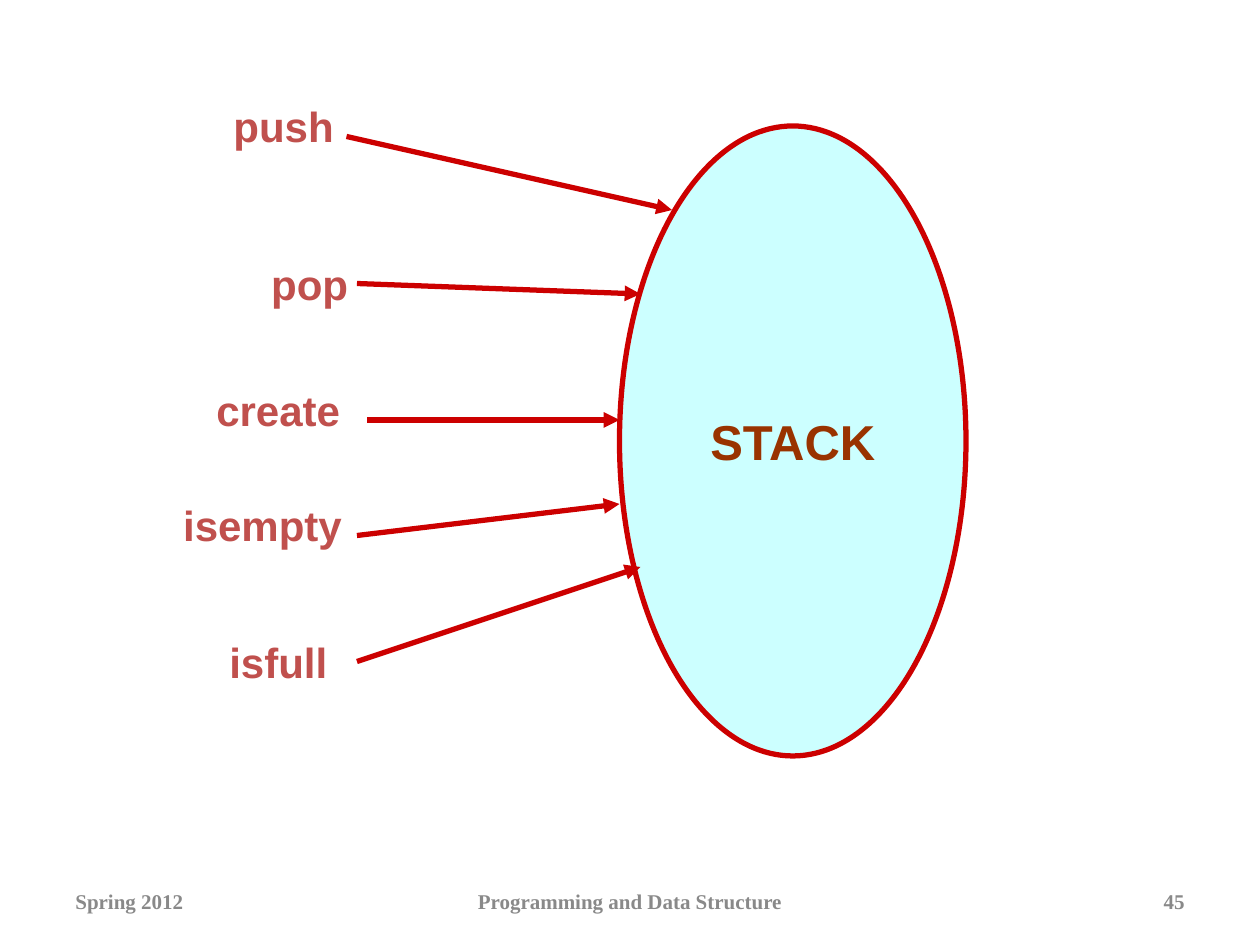
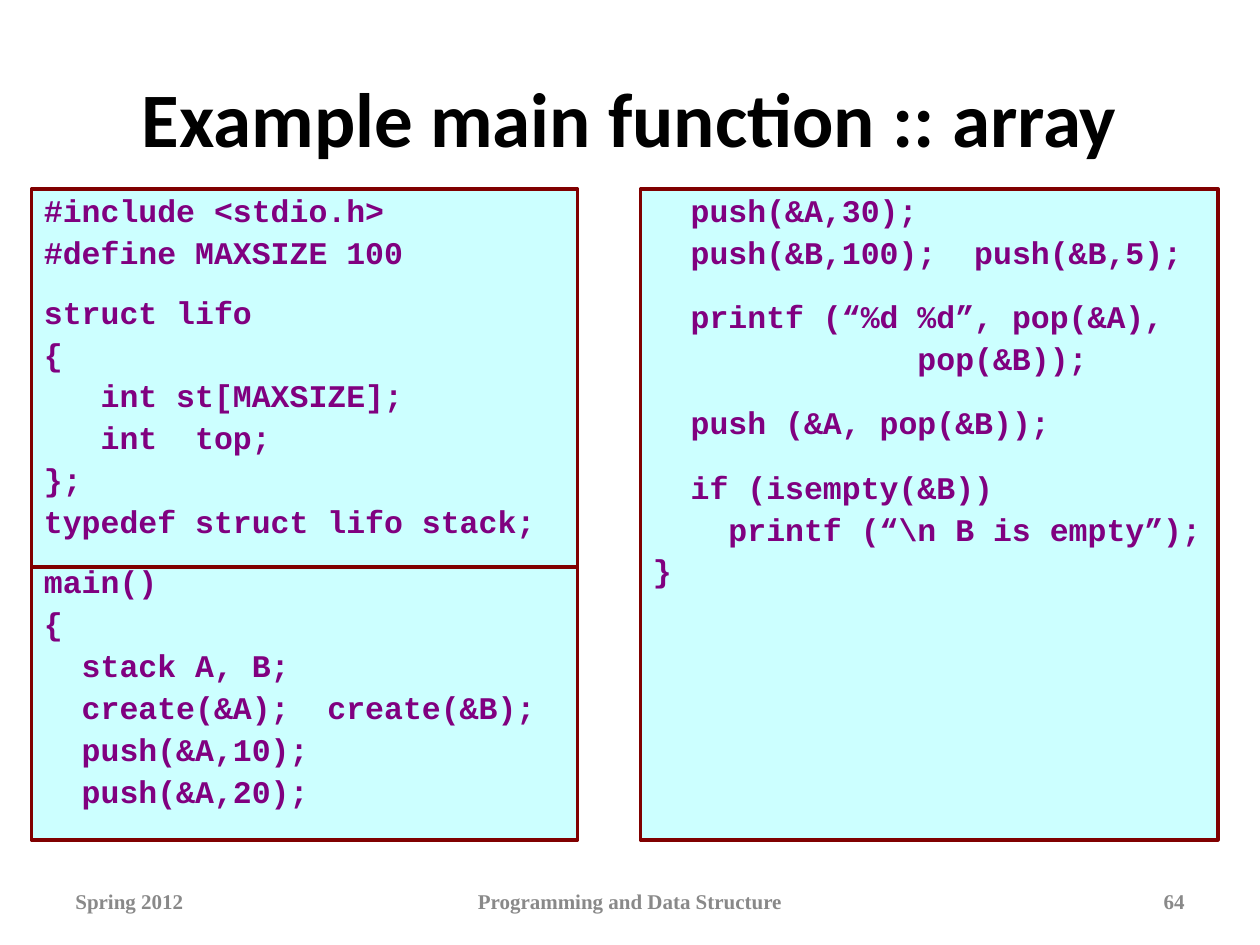
from pptx import Presentation
from pptx.dml.color import RGBColor
from pptx.enum.shapes import MSO_CONNECTOR as Link, MSO_SHAPE as Form
from pptx.enum.text import MSO_ANCHOR as Anchor, PP_ALIGN as Align
from pptx.oxml.ns import qn
from pptx.util import Inches, Pt
from lxml.etree import SubElement

UNIT = Inches(1) / 12  # the grid has 120 columns and 90 rows
CHAR = 0.6  # width of a Courier New letter, in parts of its size

HEAD = r"""
#include <stdio.h>
#define MAXSIZE 100

struct lifo
{
   int st[MAXSIZE];
   int  top;
};
typedef struct lifo stack;

main()
{
  stack A, B;
  create(&A);  create(&B);
  push(&A,10);
  push(&A,20);
"""

TAIL = r"""
  push(&A,30);
  push(&B,100);  push(&B,5);

  printf (“%d %d”, pop(&A),
              pop(&B));

  push (&A, pop(&B));

  if (isempty(&B))
    printf (“\n B is empty”);
}
"""

# name, label left, top and width, arrow start and end
CALLS = [
    ("push", (19, 9, 16), (33, 13), (64, 20)),
    ("pop", (20, 24, 19), (34, 27), (61, 28)),
    ("create", (18, 36, 17), (35, 40), (59, 40)),
    ("isempty", (15, 47, 20), (34, 51), (59, 48)),
    ("isfull", (19, 60, 15), (34, 63), (61, 54)),
]


def grid(*cells):
    return [round(cell * UNIT) for cell in cells]


def hue(code):
    return RGBColor.from_string(code)


def write(para, text, size=18, font="Arial", color="000000", align=Align.LEFT):
    para.alignment = align
    run = para.add_run()
    run.text = text
    run.font.size, run.font.name, run.font.bold = Pt(size), font, True
    run.font.color.rgb = hue(color)


class Deck:
    fill, red, maroon = "CCFFFF", "CC0000", "800000"
    brown, rose, purple, grey = "993300", "C0504D", "800080", "898989"

    def __init__(self):
        self.prs = Presentation()
        self.prs.slide_width, self.prs.slide_height = grid(120, 90)

    def page(self, number):
        """Start a blank slide with the shared footer."""
        self.slide = self.prs.slides.add_slide(self.prs.slide_layouts[6])
        self.shapes = self.slide.shapes
        for left, width, text, align in (
            (6, 28, "Spring 2012", Align.LEFT),
            (41, 38, "Programming and Data Structure", Align.CENTER),
            (86, 28, str(number), Align.RIGHT),
        ):
            self.text(text, (left, 83.4, width, 4.8), anchor=Anchor.MIDDLE, size=12,
                      font="Times New Roman", color=self.grey, align=align)

    def text(self, text, area, anchor=Anchor.TOP, **style):
        frame = self.shapes.add_textbox(*grid(*area)).text_frame
        frame.word_wrap, frame.vertical_anchor = True, anchor
        write(frame.paragraphs[0], text, **style)

    def title(self, text):
        self.text(text, (6, 3.6, 108, 15), anchor=Anchor.MIDDLE, size=44,
                  font="Calibri", align=Align.CENTER)

    def shape(self, form, area, line, weight):
        """Add a filled outline and return its text frame."""
        shape = self.shapes.add_shape(form, *grid(*area))
        shape.shadow.inherit = False
        shape.fill.solid()
        shape.fill.fore_color.rgb = hue(self.fill)
        shape.line.color.rgb, shape.line.width = hue(line), Pt(weight)
        return shape.text_frame

    def oval(self, text, area):
        frame = self.shape(Form.OVAL, area, self.red, 3)
        frame.word_wrap, frame.vertical_anchor = False, Anchor.MIDDLE
        write(frame.paragraphs[0], text, size=28, color=self.brown, align=Align.CENTER)

    def code(self, source, area, gap, size=18):
        """Add a code panel; an empty source line widens the next space by gap."""
        frame = self.shape(Form.RECTANGLE, area, self.maroon, 2)
        frame.word_wrap, frame.vertical_anchor = True, Anchor.TOP
        para, extra = frame.paragraphs[0], 0
        for index, line in enumerate(source.strip("\n").split("\n")):
            if not line:
                extra = gap
                continue
            if index:
                para = frame.add_paragraph()
            para.line_spacing, para.space_before = 0.9, Pt(4.5 + extra)
            extra, bare = 0, line.lstrip()
            indent = Pt((len(line) - len(bare)) * CHAR * size)
            para._p.get_or_add_pPr().set("marL", str(indent))
            write(para, bare, size=size, font="Courier New", color=self.purple)

    def line(self, start, end, color, weight, arrow=False):
        link = self.shapes.add_connector(Link.STRAIGHT, *grid(*start, *end))
        link.line.color.rgb, link.line.width = hue(color), Pt(weight)
        if arrow:
            SubElement(link.line._get_or_add_ln(), qn("a:tailEnd"), type="triangle")
        SubElement(link._element.spPr, qn("a:effectLst"))

    def calls(self):
        self.page(45)
        self.oval("STACK", (59, 12, 33, 60))
        for name, (left, top, width), start, end in CALLS:
            self.line(start, end, self.red, 3, arrow=True)
            self.text(name, (left, top, width, 6), size=24, color=self.rose,
                      align=Align.CENTER)

    def sample(self):
        self.page(64)
        self.title("Example main function :: array")
        self.code(HEAD, (3, 18, 52, 62), gap=10.2)
        self.code(TAIL, (61, 18, 55, 62), gap=12.8)
        self.line((3, 54), (55, 54), self.maroon, 2.5)


def main():
    deck = Deck()
    deck.calls()
    deck.sample()
    deck.prs.save("out.pptx")


if __name__ == "__main__":
    main()
